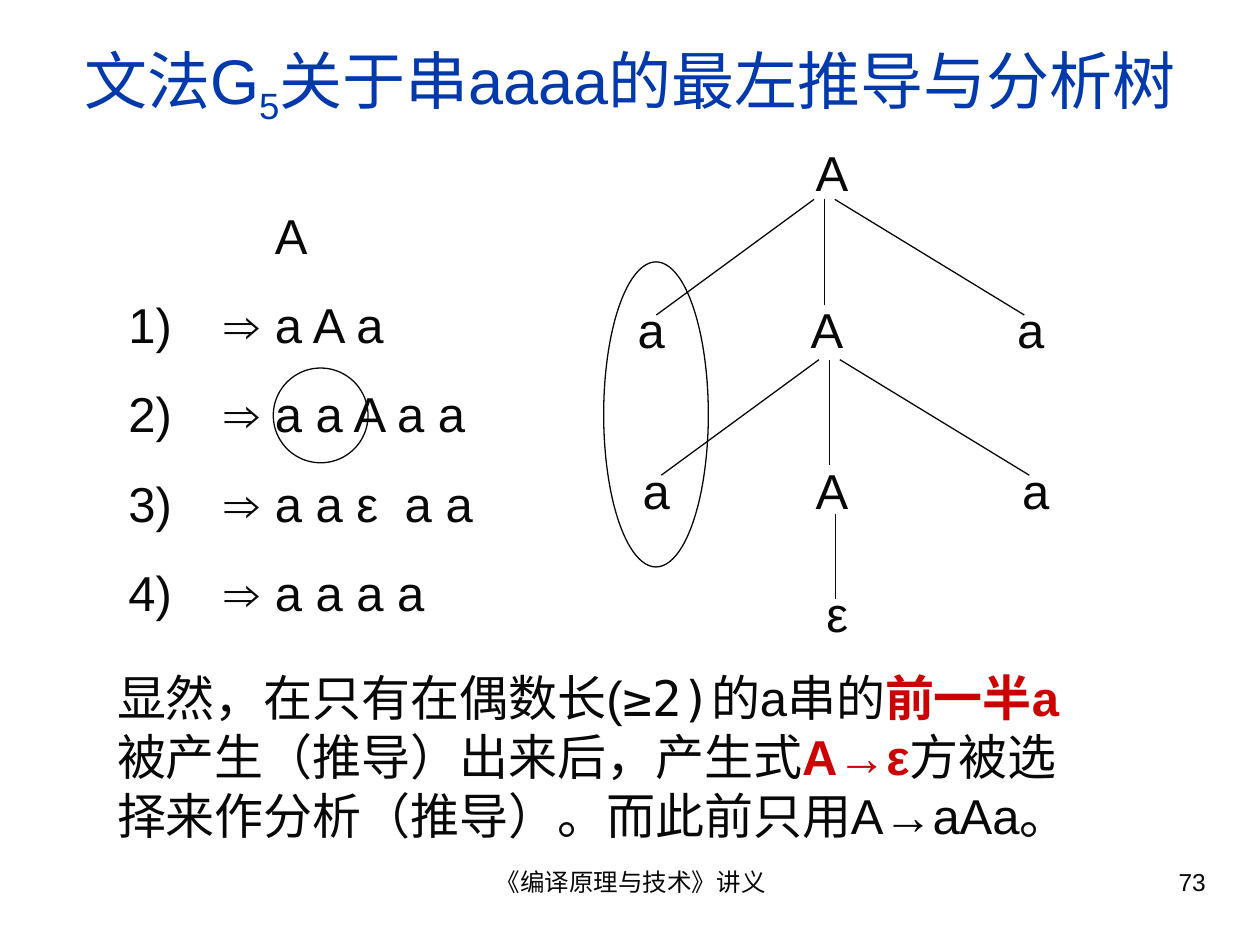
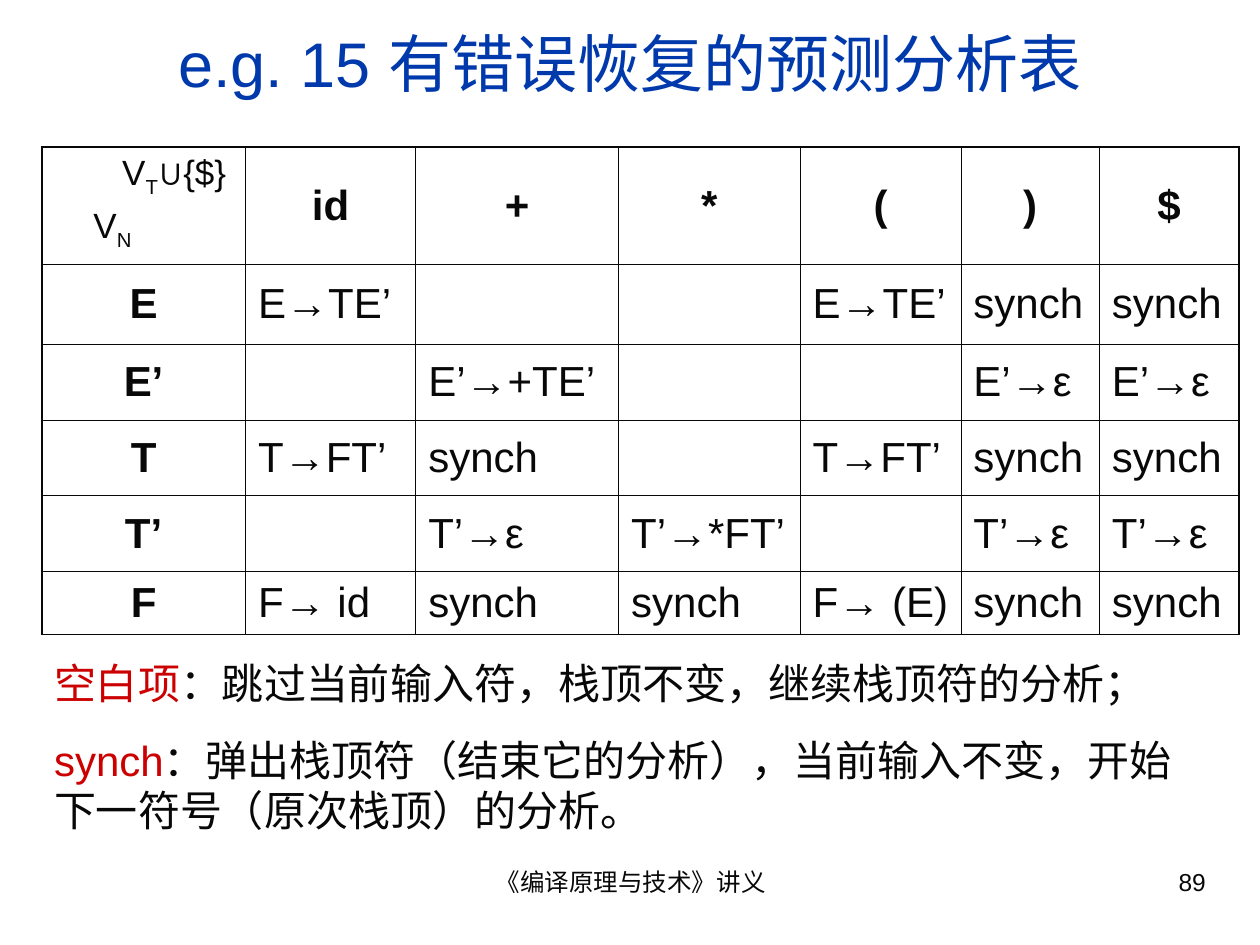
from dataclasses import dataclass

import lxml.etree
import pptx
import pptx.dml.color
import pptx.enum.shapes
import pptx.enum.text
import pptx.oxml.ns
import pptx.util

Cm, Pt = pptx.util.Cm, pptx.util.Pt
ALIGN = pptx.enum.text.PP_ALIGN
MIDDLE = pptx.enum.text.MSO_ANCHOR.MIDDLE
qn = pptx.oxml.ns.qn

# Shared style
INK, BLUE, RED = "080808", "0039AC", "CC0000"
FONT, MONO = "Arial", "DejaVu Sans Mono"
FOOTER = "《编译原理与技术》讲义"


@dataclass
class Run:
    text: str
    color: str = INK
    bold: bool = False
    sub: bool = False
    font: str = FONT


@dataclass
class Para:
    runs: list[Run]
    align: ALIGN = ALIGN.LEFT
    before: float = 0
    indent: float = 0
    tabs: tuple[float, ...] = ()


@dataclass
class Node:
    text: str
    center: float
    top: float


@dataclass
class Edge:
    x1: float
    y1: float
    x2: float
    y2: float


def rgb(color: str) -> pptx.dml.color.RGBColor:
    return pptx.dml.color.RGBColor.from_string(color)


# Text
def fill_paragraph(p, para: Para, size: float) -> None:
    p.alignment = para.align
    p.space_before = Pt(para.before)
    pPr = p._p.get_or_add_pPr()
    if para.indent:
        pPr.set("marL", str(Cm(para.indent)))
        pPr.set("indent", "0")
    if para.tabs:
        tabs = lxml.etree.SubElement(pPr, qn("a:tabLst"))
        for stop in para.tabs:
            lxml.etree.SubElement(tabs, qn("a:tab"), pos=str(Cm(stop)), algn="l")
    for run in para.runs:
        r = p.add_run()
        r.text = run.text
        r.font.size = Pt(size)
        r.font.name = run.font
        r.font.bold = run.bold
        r.font.color.rgb = rgb(run.color)
        rPr = r._r.get_or_add_rPr()
        lxml.etree.SubElement(rPr, qn("a:ea"), typeface=run.font)
        if run.sub:
            rPr.set("baseline", "-25000")


def fill_text(tf, paras: list[Para], size: float) -> None:
    for i, para in enumerate(paras):
        p = tf.add_paragraph() if i else tf.paragraphs[0]
        fill_paragraph(p, para, size)


def add_text(s, left: float, top: float, width: float, height: float,
             paras: list[Para], size: float) -> None:
    tf = s.shapes.add_textbox(Cm(left), Cm(top), Cm(width), Cm(height)).text_frame
    tf.word_wrap = True
    fill_text(tf, paras, size)


# Slide frame: title, footer and page number
def add_slide(prs, title: list[Run], title_top: float, number: str):
    s = prs.slides.add_slide(prs.slide_layouts[5])
    sp = s.shapes.title
    sp.left, sp.top, sp.width, sp.height = Cm(0.84), Cm(title_top), Cm(23.72), Cm(2.11)
    tf = sp.text_frame
    tf.auto_size = pptx.enum.text.MSO_AUTO_SIZE.NONE
    tf.vertical_anchor = MIDDLE
    fill_text(tf, [Para(title, ALIGN.CENTER)], 36)
    add_text(s, 8.69, 17.35, 8.05, 1.32, [Para([Run(FOOTER)], ALIGN.CENTER)], 14)
    add_text(s, 18.21, 17.35, 6.35, 1.32, [Para([Run(number)], ALIGN.RIGHT)], 14)
    return s


# Drawing
def add_edge(s, edge: Edge) -> None:
    line = s.shapes.add_connector(
        pptx.enum.shapes.MSO_CONNECTOR.STRAIGHT,
        Cm(edge.x1), Cm(edge.y1), Cm(edge.x2), Cm(edge.y2))
    line.line.color.rgb = rgb(INK)
    line.line.width = Pt(0.75)
    lxml.etree.SubElement(line._element.spPr, qn("a:effectLst"))


def add_node(s, node: Node) -> None:
    width = 1.4
    add_text(s, node.center - width / 2, node.top, width, 1.45,
             [Para([Run(node.text)], ALIGN.CENTER)], 28)


def add_ring(s, left: float, top: float, width: float, height: float) -> None:
    sp = s.shapes.add_shape(pptx.enum.shapes.MSO_SHAPE.OVAL,
                            Cm(left), Cm(top), Cm(width), Cm(height))
    sp.shadow.inherit = False
    sp.fill.background()
    sp.line.color.rgb = rgb(INK)
    sp.line.width = Pt(0.75)


def add_branch(s, dx: float, dy: float) -> None:
    """Three edges from a parent A down to its children a, A, a."""
    for x1, x2, y2 in ((16.41, 13.23, 6.35), (16.62, 16.62, 6.15), (16.83, 20.65, 6.35)):
        add_edge(s, Edge(x1 + dx, 4.02 + dy, x2 + dx, y2 + dy))
    for text, center in (("a", 13.13), ("A", 16.67), ("a", 20.78)):
        add_node(s, Node(text, center + dx, 5.92 + dy))


# Table
def set_borders(cell, widths: dict[str, float]) -> None:
    tcPr = cell._tc.get_or_add_tcPr()
    for i, (side, width) in enumerate(widths.items()):
        ln = lxml.etree.Element(qn(f"a:ln{side}"), w=str(Pt(width)))
        fill = lxml.etree.SubElement(ln, qn("a:solidFill"))
        lxml.etree.SubElement(fill, qn("a:srgbClr"), val=INK)
        tcPr.insert(i, ln)


def add_parse_table(s, rows: list[list[str]], corner: list[Para]) -> None:
    widths = (4.11, 3.43, 4.09, 3.66, 3.24, 2.79, 2.81)
    heights = (2.36, 1.61, 1.53, 1.52, 1.53, 1.27)
    frame = s.shapes.add_table(len(rows), len(widths), Cm(0.84), Cm(2.97),
                               Cm(sum(widths)), Cm(sum(heights)))
    table = frame.table
    table.first_row = table.horz_banding = False
    for column, width in zip(table.columns, widths):
        column.width = Cm(width)
    for row, height in zip(table.rows, heights):
        row.height = Cm(height)
    thick, thin = 1.08, 0.45
    for i, row in enumerate(rows):
        for j, text in enumerate(row):
            cell = table.cell(i, j)
            cell.fill.background()
            set_borders(cell, {
                "L": thin if j else thick,
                "R": thick if j == len(widths) - 1 else thin,
                "T": thin if i else thick,
                "B": thick if i == len(rows) - 1 else thin,
            })
            if i == j == 0:
                fill_text(cell.text_frame, corner, 20)
                continue
            cell.vertical_anchor = MIDDLE
            head = i == 0 or j == 0
            if not head:
                cell.margin_right = Cm(0.1)  # keeps each production on one line
            if text:
                align = ALIGN.CENTER if head else ALIGN.LEFT
                fill_text(cell.text_frame, [Para([Run(text, bold=head)], align)], 24)


# Slide: leftmost derivation and parse tree
def derivation_slide(prs) -> None:
    title = [Run("文法G", BLUE), Run("5", BLUE, sub=True),
             Run("关于串aaaa的最左推导与分析树", BLUE)]
    s = add_slide(prs, title, 0.64, "73")

    add_node(s, Node("A", 16.77, 2.74))
    for level in range(2):
        add_branch(s, 0.1 * level, 3.23 * level)
    add_edge(s, Edge(16.84, 10.36, 16.84, 12.07))
    add_node(s, Node("ε", 16.88, 11.63))
    add_ring(s, 12.17, 5.28, 2.11, 6.15)

    steps = ["\t\tA", "1)\t⇒\ta A a", "2)\t⇒\ta a A a a",
             "3)\t⇒\ta a ε\ta a", "4)\t⇒\ta a a a"]
    paras = [Para([Run(step)], before=17.5 if i else 0, tabs=(1.94, 2.95, 5.57))
             for i, step in enumerate(steps)]
    add_text(s, 2.34, 4.01, 8.69, 8.66, paras, 28)
    add_ring(s, 5.51, 7.42, 1.91, 1.91)

    remark = [
        Run("显然，在只有在偶数长("), Run("≥2)", font=MONO), Run("的a串的"),
        Run("前一半a", RED, bold=True), Run("被产生（推导）出来后，产生式"),
        Run("A→ε", RED, bold=True),
        Run("方被选择来作分析（推导）。而此前只用A→aAa。"),
    ]
    add_text(s, 2.11, 13.34, 20.32, 3.81, [Para(remark)], 28)


# Slide: predictive parsing table with error recovery
def table_slide(prs) -> None:
    s = add_slide(prs, [Run("e.g. 15 有错误恢复的预测分析表", BLUE)], 0.21, "89")
    corner = [
        Para([Run("V"), Run("T", sub=True), Run("∪{$}")], indent=1.37),
        Para([Run("V"), Run("N", sub=True)], before=5, indent=0.79),
    ]
    rows = [
        ["", "id", "+", "*", "(", ")", "$"],
        ["E", "E→TE’", "", "", "E→TE’", "synch", "synch"],
        ["E’", "", "E’→+TE’", "", "", "E’→ε", "E’→ε"],
        ["T", "T→FT’", "synch", "", "T→FT’", "synch", "synch"],
        ["T’", "", "T’→ε", "T’→*FT’", "", "T’→ε", "T’→ε"],
        ["F", "F→ id", "synch", "synch", "F→ (E)", "synch", "synch"],
    ]
    add_parse_table(s, rows, corner)
    notes = [
        Para([Run("空白项", RED), Run("：跳过当前输入符，栈顶不变，继续栈顶符的分析；")]),
        Para([Run("synch", RED),
              Run("：弹出栈顶符（结束它的分析），当前输入不变，开始下一符号（原次栈顶）的分析。")],
             before=15),
    ]
    add_text(s, 0.84, 13.13, 23.06, 3.84, notes, 24)


def main() -> None:
    prs = pptx.Presentation()
    prs.slide_width, prs.slide_height = Cm(25.4), Cm(19.05)
    derivation_slide(prs)
    table_slide(prs)
    prs.save("out.pptx")


if __name__ == "__main__":
    main()
